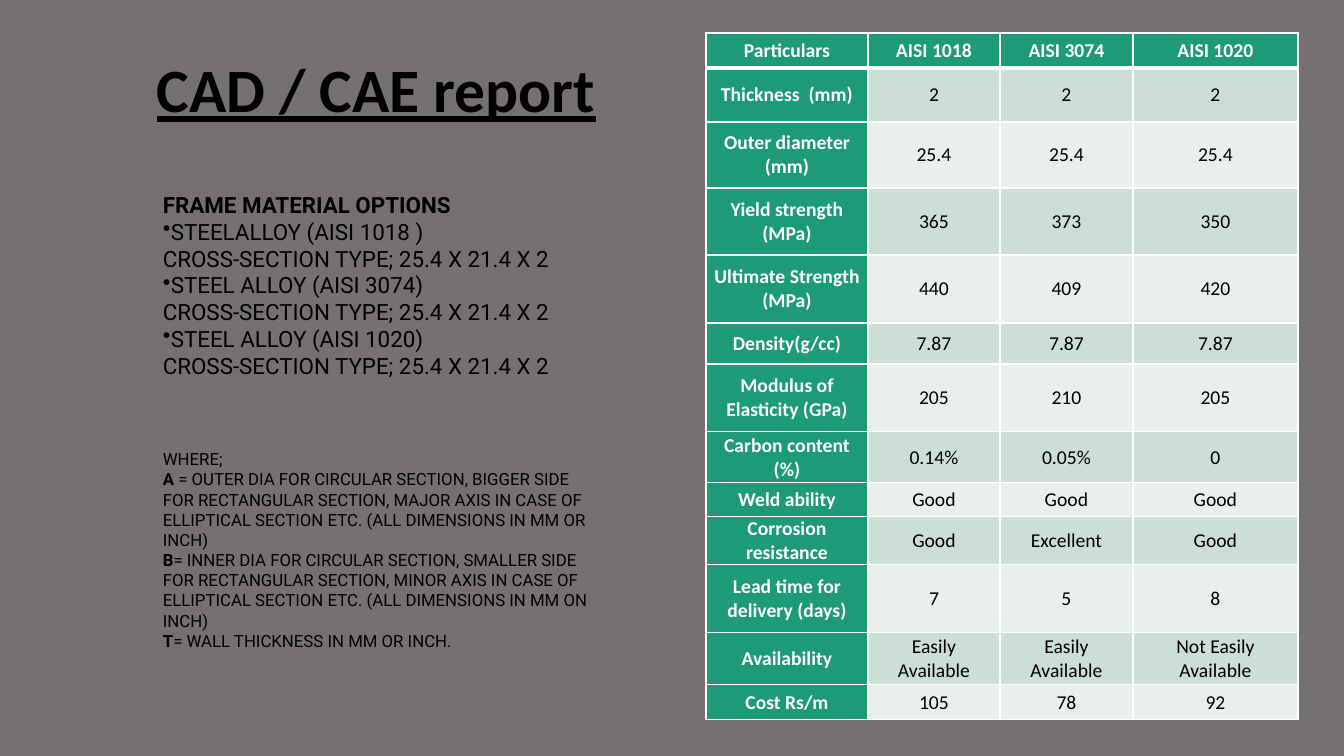
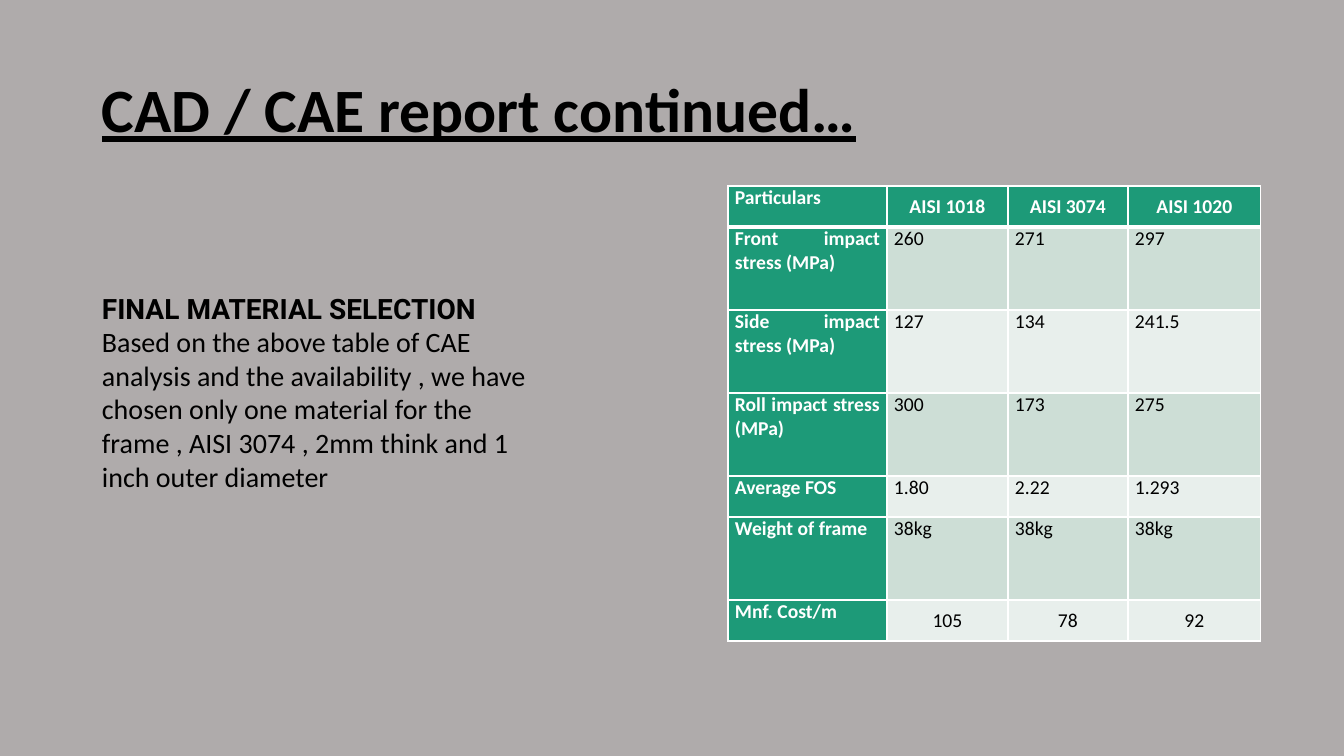
import pptx
import pptx.util
import pptx.dml.color
import pptx.enum.text
import pptx.oxml.ns
import lxml.etree

PX = 914400 / 100.8
ALIGN = pptx.enum.text.PP_ALIGN
ANCHOR = pptx.enum.text.MSO_ANCHOR


class Theme:
    black = "000000"
    white = "FFFFFF"
    green = "1D9A78"
    bands = ("E8EFEC", "CDDED6")
    report_bg = "767171"
    continued_bg = "AFABAB"
    line, heavy_line = 1, 3
    cell_inset = 7
    title = dict(name="Calibri", size=44, bold=True, underline=True, color=black)
    head = dict(name="Calibri", size=14, bold=True, color=white)
    cell = dict(name="Calibri", size=14, bold=False, color=black)
    option = dict(name="Roboto", size=16, bold=False, color=black)
    option_head = dict(option, bold=True)
    legend = dict(name="Roboto", size=12, bold=False, color=black)
    legend_key = dict(legend, bold=True)
    choice_head = dict(name="Roboto", size=20, bold=True, color=black)
    choice = dict(name="Calibri", size=20, bold=False, color=black)


def px(n):
    return pptx.util.Emu(round(n * PX))


def rgb(value):
    return pptx.dml.color.RGBColor.from_string(value)


def set_format(font, fmt):
    for key, value in fmt.items():
        if key == "color":
            font.color.rgb = rgb(value)
        else:
            setattr(font, key, pptx.util.Pt(value) if key == "size" else value)


def sub(parent, tag, **attrs):
    return lxml.etree.SubElement(parent, pptx.oxml.ns.qn(tag), **attrs)


def fill_paragraph(p, runs, bullet=False, **layout):
    if bullet:
        sub(p._p.get_or_add_pPr(), "a:buChar", char="•")
    for key, value in layout.items():
        setattr(p, key, value)
    for text, fmt in runs:
        r = p.add_run()
        r.text = text
        set_format(r.font, fmt)


def add_text(s, box, paragraphs, anchor=ANCHOR.MIDDLE):
    tf = s.shapes.add_textbox(*map(px, box)).text_frame
    tf.word_wrap = True
    tf.vertical_anchor = anchor
    for i, para in enumerate(paragraphs):
        p = tf.add_paragraph() if i else tf.paragraphs[0]
        fill_paragraph(p, **para)


def add_title(s, box, text, align):
    add_text(s, box, [dict(runs=[(text, Theme.title)], alignment=align, line_spacing=0.9)])


def add_slide(prs, background):
    s = prs.slides.add_slide(prs.slide_layouts[6])
    s.background.fill.solid()
    s.background.fill.fore_color.rgb = rgb(background)
    return s


def set_borders(cell, row):
    widths = dict(L=Theme.line, R=Theme.line, T=Theme.line, B=Theme.line)
    if row == 0:
        widths["B"] = Theme.heavy_line
    elif row == 1:
        widths["T"] = Theme.heavy_line
    tc_pr = cell._tc.get_or_add_tcPr()
    for i, (side, width) in enumerate(widths.items()):
        ln = sub(tc_pr, "a:ln" + side, w=str(pptx.util.Pt(width)))
        sub(sub(ln, "a:solidFill"), "a:srgbClr", val=Theme.white)
        tc_pr.insert(i, ln)


def add_material_table(s, left, top, widths, heights, rows, is_centred):
    box = (left, top, sum(widths), sum(heights))
    table = s.shapes.add_table(len(heights), len(widths), *map(px, box)).table
    for column, width in zip(table.columns, widths):
        column.width = px(width)
    for row, height in zip(table.rows, heights):
        row.height = px(height)
    for r, texts in enumerate(rows):
        for c, text in enumerate(texts):
            cell = table.cell(r, c)
            is_head = r == 0 or c == 0
            centred = is_centred(r, c)
            cell.fill.solid()
            cell.fill.fore_color.rgb = rgb(Theme.green if is_head else Theme.bands[r % 2])
            cell.margin_left = cell.margin_right = px(Theme.cell_inset)
            cell.margin_top = cell.margin_bottom = 0
            cell.vertical_anchor = ANCHOR.MIDDLE if centred else ANCHOR.TOP
            fill_paragraph(
                cell.text_frame.paragraphs[0],
                [(text, Theme.head if is_head else Theme.cell)],
                alignment=ALIGN.CENTER if centred else ALIGN.JUSTIFY,
            )
            set_borders(cell, r)


def add_frame_options(s, box):
    paragraphs = [dict(runs=[("FRAME MATERIAL OPTIONS", Theme.option_head)])]
    for alloy in ("STEELALLOY (AISI 1018 )", "STEEL ALLOY (AISI 3074)", "STEEL ALLOY (AISI 1020)"):
        paragraphs.append(dict(runs=[(alloy, Theme.option)], bullet=True))
        paragraphs.append(dict(runs=[("CROSS-SECTION TYPE; 25.4 X 21.4 X 2", Theme.option)]))
    paragraphs.append(dict(runs=[("WHERE;", Theme.legend)], space_before=pptx.util.Pt(50)))
    legend = (
        ("A", " = OUTER DIA FOR CIRCULAR SECTION, BIGGER SIDE FOR RECTANGULAR SECTION, "
              "MAJOR AXIS IN CASE OF ELLIPTICAL SECTION ETC. (ALL DIMENSIONS IN MM OR INCH)"),
        ("B", "= INNER DIA FOR CIRCULAR SECTION, SMALLER SIDE FOR RECTANGULAR SECTION, "
              "MINOR AXIS IN CASE OF ELLIPTICAL SECTION ETC. (ALL DIMENSIONS IN MM ON INCH)"),
        ("T", "= WALL THICKNESS IN MM OR INCH."),
    )
    for key, meaning in legend:
        paragraphs.append(dict(runs=[(key, Theme.legend_key), (meaning, Theme.legend)]))
    add_text(s, box, paragraphs, ANCHOR.TOP)


def add_selection(s, box):
    add_text(s, box, [
        dict(runs=[("FINAL MATERIAL SELECTION", Theme.choice_head)]),
        dict(runs=[("Based on the above table of CAE analysis and the availability , we have "
                    "chosen only one material for the frame , AISI 3074 , 2mm think and 1 "
                    "inch outer diameter", Theme.choice)]),
    ])


HEADER = ("Particulars", "AISI 1018", "AISI 3074", "AISI 1020")

PROPERTIES = (
    HEADER,
    ("Thickness  (mm)", "2", "2", "2"),
    ("Outer diameter (mm)", "25.4", "25.4", "25.4"),
    ("Yield strength (MPa)", "365", "373", "350"),
    ("Ultimate Strength (MPa)", "440", "409", "420"),
    ("Density(g/cc)", "7.87", "7.87", "7.87"),
    ("Modulus of Elasticity (GPa)", "205", "210", "205"),
    ("Carbon content (%)", "0.14%", "0.05%", "0"),
    ("Weld ability", "Good", "Good", "Good"),
    ("Corrosion resistance", "Good", "Excellent", "Good"),
    ("Lead time for delivery (days)", "7", "5", "8"),
    ("Availability", "Easily Available", "Easily Available", "Not Easily Available"),
    ("Cost Rs/m", "105", "78", "92"),
)

ANALYSIS = (
    HEADER,
    ("Front impact stress (MPa)", "260", "271", "297"),
    ("Side impact stress (MPa)", "127", "134", "241.5"),
    ("Roll impact stress (MPa)", "300", "173", "275"),
    ("Average FOS", "1.80", "2.22", "1.293"),
    ("Weight of frame", "38kg", "38kg", "38kg"),
    ("Mnf. Cost/m", "105", "78", "92"),
)


def build_report(prs):
    s = add_slide(prs, Theme.report_bg)
    add_title(s, (67, 20, 619, 146), "CAD / CAE report", ALIGN.CENTER)
    add_material_table(
        s, 706, 33, (162, 132, 133, 165),
        (35, 54, 66, 67, 68, 41, 68, 51, 34, 48, 68, 52, 35),
        PROPERTIES, lambda r, c: True,
    )
    add_frame_options(s, (153, 186, 461, 490))


def build_continued(prs):
    s = add_slide(prs, Theme.continued_bg)
    add_title(s, (92, 40, 1159, 146), "CAD / CAE report continued…", ALIGN.LEFT)
    last = len(ANALYSIS) - 1
    add_material_table(
        s, 728, 186, (159, 121, 120, 133), (41, 83, 83, 83, 41, 83, 41),
        ANALYSIS, lambda r, c: c > 0 and r in (0, last),
    )
    add_selection(s, (92, 285, 445, 214))


def main():
    prs = pptx.Presentation()
    prs.slide_width, prs.slide_height = px(1344), px(756)
    build_report(prs)
    build_continued(prs)
    prs.save("out.pptx")


if __name__ == "__main__":
    main()
